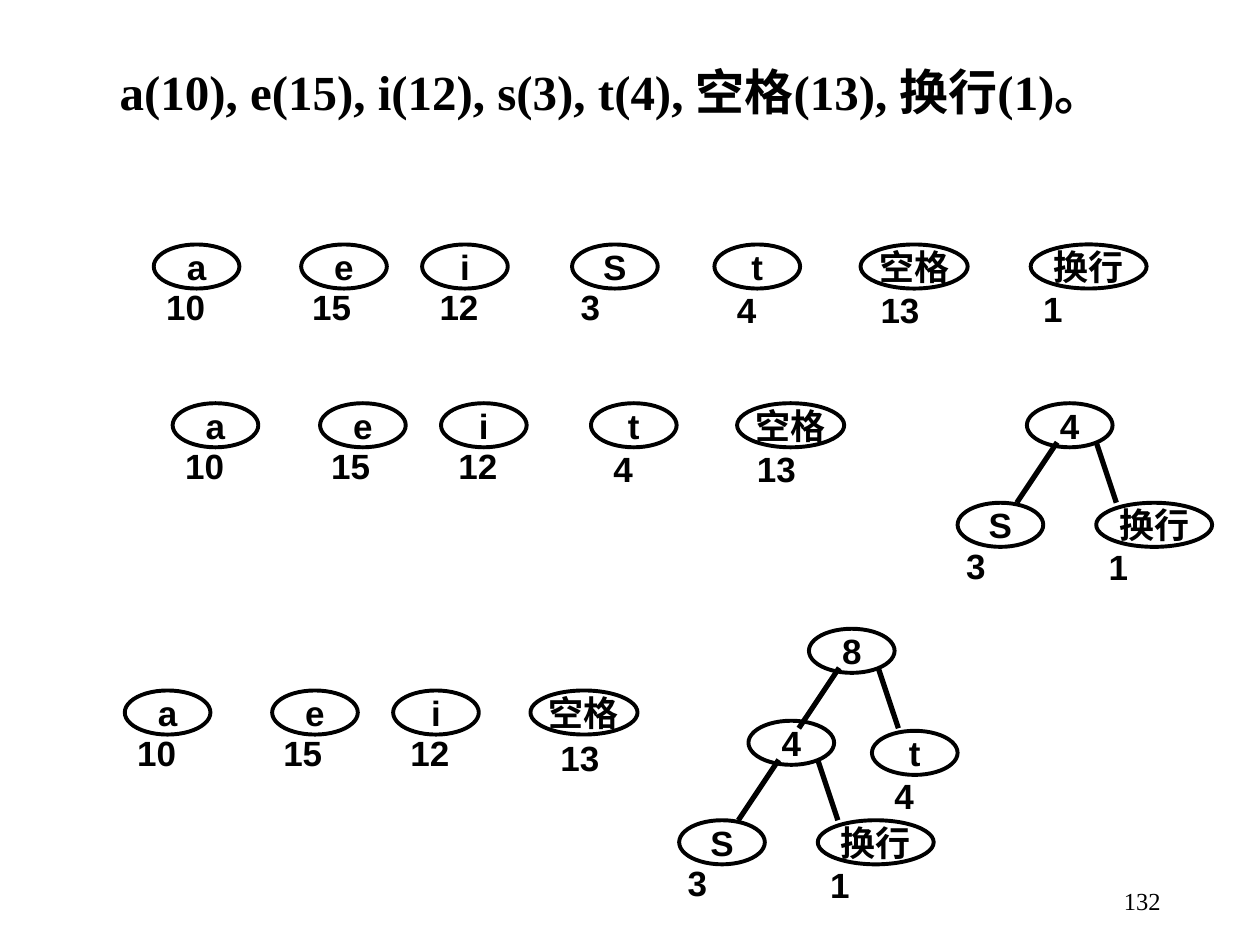
import pptx
import pptx.util
import pptx.dml.color
import pptx.enum.shapes
import pptx.enum.text
import pptx.oxml.ns
import lxml.etree
from pptx.util import Inches

COLORS = {"ink": "000000"}
NODE_W, NODE_H = 0.68, 0.35
LEVEL = 0.79
STARTS = {"a": 0, "e": 1.17, "i": 2.13}
WEIGHTS = {
    "a": ("10", 0, 0.28, 0.72, 0.3),
    "e": ("15", -0.01, 0.28, 0.66, 0.3),
    "i": ("12", 0.04, 0.28, 0.73, 0.3),
    "S": ("3", -0.03, 0.28, 0.54, 0.3),
    "t": ("4", 0.08, 0.3, 0.54, 0.24),
    "空格": ("13", 0.06, 0.3, 0.73, 0.3),
    "换行": ("1", 0, 0.29, 0.48, 0.22),
}
WIDTHS = {"空格": 0.85, "换行": 0.92}
ALIGN = pptx.enum.text.PP_ALIGN
ANCHOR = pptx.enum.text.MSO_ANCHOR


def ink():
    """Return the colour of all text and lines."""
    return pptx.dml.color.RGBColor.from_string(COLORS["ink"])


def set_text(sp, text, size, font, bold=False, align=ALIGN.LEFT, anchor=ANCHOR.TOP, wrap=True):
    """Write one formatted paragraph into a shape."""
    tf = sp.text_frame
    tf.text = text
    tf.word_wrap = wrap
    tf.vertical_anchor = anchor
    p = tf.paragraphs[0]
    p.alignment = align
    for r in p.runs:
        r.font.size = pptx.util.Pt(size)
        r.font.name = font
        r.font.bold = bold
        r.font.color.rgb = ink()


def add_title(s, x, y, w, h):
    """Place the title that lists the symbols and their frequencies."""
    sp = s.shapes.title
    sp.left, sp.top, sp.width, sp.height = map(Inches, (x, y, w, h))
    set_text(sp, "a(10), e(15), i(12), s(3), t(4), 空格(13), 换行(1)。",
             28, "Times New Roman", bold=True, wrap=False)
    sp.text_frame.auto_size = pptx.enum.text.MSO_AUTO_SIZE.NONE


def add_page_number(s, x, y, w, h):
    """Place the page number."""
    sp = s.shapes.add_textbox(*map(Inches, (x, y, w, h)))
    set_text(sp, "132", 14, "Times New Roman", align=ALIGN.RIGHT, anchor=ANCHOR.MIDDLE)


def add_node(group, text, x, y):
    """Draw one oval node with its text."""
    box = (x, y, WIDTHS.get(text, NODE_W), NODE_H)
    sp = group.shapes.add_shape(pptx.enum.shapes.MSO_SHAPE.OVAL, *map(Inches, box))
    sp.shadow.inherit = False
    sp.fill.background()
    sp.line.color.rgb = ink()
    sp.line.width = pptx.util.Pt(2.25)
    set_text(sp, text, 20, "Arial", True, ALIGN.CENTER, ANCHOR.MIDDLE)
    if text in WIDTHS:
        sp.text_frame.margin_left = sp.text_frame.margin_right = 0


def add_leaf(group, symbol, x, y, nudge=(0, 0)):
    """Draw a symbol node with its weight below."""
    weight, dx, dy, w, h = WEIGHTS[symbol]
    box = (x + dx + nudge[0], y + dy + nudge[1], w, h)
    sp = group.shapes.add_textbox(*map(Inches, box))
    set_text(sp, weight, 20, "Arial", True, ALIGN.JUSTIFY)
    add_node(group, symbol, x, y)


def add_parent(group, text, x, y):
    """Draw an inner node with its two branches."""
    add_node(group, text, x, y)
    for start, end in ((0.24, -0.08), (0.55, 0.71)):
        ends = (x + start, y + 0.31, x + end, y + LEVEL)
        line = group.shapes.add_connector(
            pptx.enum.shapes.MSO_CONNECTOR.STRAIGHT, *map(Inches, ends))
        line.line.color.rgb = ink()
        line.line.width = pptx.util.Pt(3)
        lxml.etree.SubElement(line._element.spPr, pptx.oxml.ns.qn("a:effectLst"))


def add_row(group, x, y, others, nudge=(0, 0)):
    """Draw a, e and i, then the other single nodes of a step."""
    for symbol, dx in STARTS.items():
        add_leaf(group, symbol, x + dx, y)
    for symbol, dx in others.items():
        add_leaf(group, symbol, x + dx, y, nudge)


def add_pair_tree(group, x, y):
    """Draw the tree that joins S and the line break."""
    add_leaf(group, "S", x, y + LEVEL)
    add_leaf(group, "换行", x + 1.1, y + LEVEL)
    add_parent(group, "4", x + 0.55, y)


def add_merged_tree(group, x, y):
    """Draw the tree that joins the pair tree and t."""
    add_pair_tree(group, x, y + 0.73)
    add_leaf(group, "t", x + 1.53, y + 0.81)
    add_parent(group, "8", x + 1.03, y)


def main():
    """Build the slide and save it."""
    prs = pptx.Presentation()
    prs.slide_width, prs.slide_height = Inches(10), Inches(7.5)
    s = prs.slides.add_slide(prs.slide_layouts[5])
    add_title(s, 0.85, 0.44, 8.47, 0.57)
    add_page_number(s, 7.06, 6.95, 2.25, 0.4)
    first, second, third = (s.shapes.add_group_shape() for _ in range(3))
    add_row(first, 1.22, 1.94, {"S": 3.32, "t": 4.45, "空格": 5.61, "换行": 6.96})
    add_row(second, 1.37, 3.2, {"t": 3.32, "空格": 4.48})
    add_pair_tree(second, 7.6, 3.2)
    add_row(third, 0.99, 5.48, {"空格": 3.22}, nudge=(0.08, 0.02))
    add_merged_tree(third, 5.39, 4.99)
    prs.save("out.pptx")


if __name__ == "__main__":
    main()
